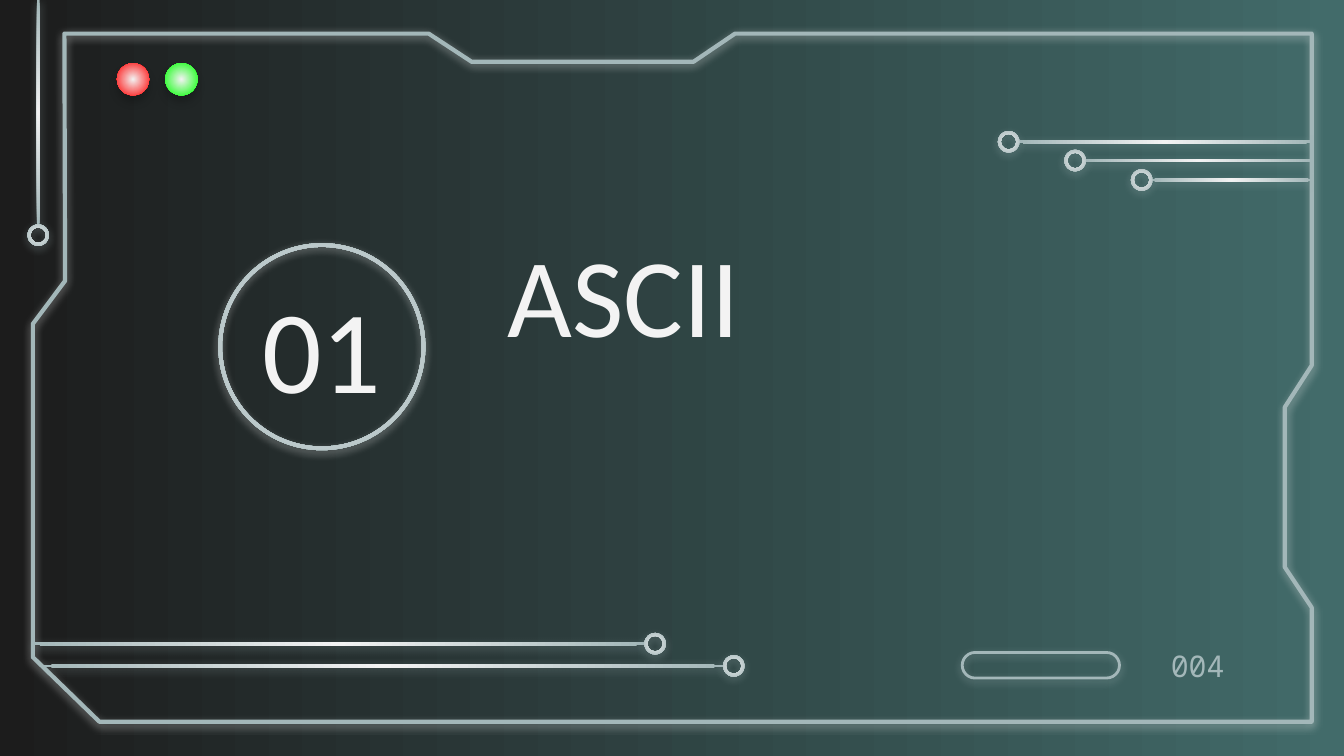
from dataclasses import dataclass

from lxml.etree import SubElement
from pptx import Presentation
from pptx.dml.color import RGBColor
from pptx.dml.fill import FillFormat
from pptx.enum.shapes import MSO_SHAPE
from pptx.enum.text import MSO_ANCHOR, MSO_AUTO_SIZE, PP_ALIGN
from pptx.oxml.ns import qn
from pptx.shapes.autoshape import Shape
from pptx.slide import Slide
from pptx.text.text import TextFrame
from pptx.util import Emu, Pt

PIXEL = 4572  # 200 px to the inch
WHITE, STEEL = "F3F3F3", "A3B7B9"
RING_SIZE, BAR_THICKNESS = 32, 4


@dataclass(frozen=True)
class Box:
    left: int
    top: int
    width: int
    height: int

    def emu(self) -> tuple[Emu, ...]:
        return tuple(px(n) for n in (self.left, self.top, self.width, self.height))


@dataclass(frozen=True)
class Trace:
    """A circuit line from the centre of its ring to an edge."""
    ring_x: int
    ring_y: int
    edge_x: int
    edge_y: int


@dataclass(frozen=True)
class Shadow:
    color: str
    opacity: int = 50
    distance: float = 1.5


FRAME = [
    (1952, 50), (1094, 50), (1032, 92), (702, 92), (638, 50), (96, 50),
    (97, 418), (49, 482), (49, 978), (148, 1074), (1952, 1074), (1952, 904),
    (1912, 844), (1912, 606), (1952, 544),
]
TRACES = [
    Trace(57, 350, 57, 0),
    Trace(1501, 211, 1950, 211),
    Trace(1600, 239, 1950, 239),
    Trace(1699, 268, 1950, 268),
    Trace(1092, 991, 64, 991),
    Trace(975, 958, 48, 958),
]
LIGHTS = [(174, "FF0000"), (246, "00FF00")]


def px(length: int) -> Emu:
    return Emu(length * PIXEL)


def rgb(color: str) -> RGBColor:
    return RGBColor.from_string(color)


def set_gradient(fill: FillFormat, start: str, end: str) -> None:
    fill.gradient()
    fill.gradient_angle = 0
    for stop, color in zip(fill.gradient_stops, (start, end)):
        stop.color.rgb = rgb(color)


def set_radial(shape: Shape, edge: str) -> None:
    set_gradient(shape.fill, WHITE, edge)
    gradient = shape._element.spPr.find(qn("a:gradFill"))
    gradient.remove(gradient.find(qn("a:lin")))
    circle = SubElement(gradient, qn("a:path"), {"path": "circle"})
    SubElement(circle, qn("a:fillToRect"), dict.fromkeys("ltrb", "50000"))


def set_shadow(shape: Shape, shadow: Shadow) -> None:
    shape.shadow.inherit = False
    effects = shape._element.spPr.find(qn("a:effectLst"))
    outer = SubElement(effects, qn("a:outerShdw"), {
        "blurRad": str(Pt(4.5)), "dist": str(Pt(shadow.distance)),
        "dir": "5400000", "algn": "bl", "rotWithShape": "0",
    })
    color = SubElement(outer, qn("a:srgbClr"), {"val": shadow.color})
    SubElement(color, qn("a:alpha"), {"val": str(shadow.opacity * 1000)})


def set_outline(shape: Shape, width: float, shadow: Shadow) -> None:
    shape.fill.background()
    shape.line.color.rgb = rgb(STEEL)
    shape.line.width = Pt(width)
    set_shadow(shape, shadow)


def add_glowing(slide: Slide, kind: MSO_SHAPE, box: Box, edge: str, shadow: Shadow) -> Shape:
    shape = slide.shapes.add_shape(kind, *box.emu())
    set_radial(shape, edge)
    shape.line.fill.background()
    set_shadow(shape, shadow)
    return shape


def add_trace(slide: Slide, trace: Trace) -> None:
    radius, half = RING_SIZE // 2, BAR_THICKNESS // 2
    if trace.ring_x == trace.edge_x:
        bar = Box(trace.ring_x - half, trace.edge_y,
                  BAR_THICKNESS, trace.ring_y - radius - trace.edge_y + half)
    else:
        length = abs(trace.edge_x - trace.ring_x) - radius
        left = min(trace.edge_x, trace.ring_x + radius)
        bar = Box(left, trace.ring_y - half, length, BAR_THICKNESS)
    add_glowing(slide, MSO_SHAPE.RECTANGLE, bar, STEEL, Shadow(STEEL))
    box = Box(trace.ring_x - radius, trace.ring_y - radius, RING_SIZE, RING_SIZE)
    ring = add_glowing(slide, MSO_SHAPE.DONUT, box, STEEL, Shadow(STEEL))
    ring.adjustments[0] = 0.14


def write(frame: TextFrame, text: str, size: int, font: str, color: str,
          alignment: PP_ALIGN, wrap: bool = True) -> None:
    frame.text = text
    frame.word_wrap = wrap
    frame.auto_size = MSO_AUTO_SIZE.NONE
    frame.vertical_anchor = MSO_ANCHOR.MIDDLE
    frame.margin_left = frame.margin_right = px(20)
    frame.margin_top = frame.margin_bottom = px(20)
    paragraph = frame.paragraphs[0]
    paragraph.alignment = alignment
    paragraph.space_before = Pt(0)
    run_font = paragraph.runs[0].font
    run_font.size, run_font.name = Pt(size), font
    run_font.color.rgb = rgb(color)


def place(shape: Shape, box: Box) -> None:
    shape.left, shape.top, shape.width, shape.height = box.emu()


def main() -> None:
    presentation = Presentation()
    presentation.slide_width, presentation.slide_height = px(2000), px(1125)
    slide = presentation.slides.add_slide(presentation.slide_layouts[0])
    set_gradient(slide.background.fill, "1C1C1C", "426B6A")

    # Angular window frame
    builder = slide.shapes.build_freeform(*FRAME[0], scale=PIXEL)
    builder.add_line_segments(FRAME[1:], close=True)
    set_outline(builder.convert_to_shape(), 2.25, Shadow(WHITE))

    # Section title and number
    title, number = slide.placeholders
    place(title, Box(735, 339, 838, 194))
    write(title.text_frame, "ASCII", 60, "Calibri", WHITE, PP_ALIGN.LEFT)
    place(number, Box(325, 401, 308, 230))
    write(number.text_frame, "01", 63, "Calibri", WHITE, PP_ALIGN.CENTER)
    number_ring = add_glowing(slide, MSO_SHAPE.DONUT, Box(325, 362, 308, 308),
                              STEEL, Shadow(WHITE))
    number_ring.adjustments[0] = 0.018

    # Circuit lines
    for trace in TRACES:
        add_trace(slide, trace)

    # Window lights
    for left, color in LIGHTS:
        add_glowing(slide, MSO_SHAPE.OVAL, Box(left, 94, 48, 48), color,
                    Shadow("000000", 20, 3.8))

    # Footer pill and page number
    pill = slide.shapes.add_shape(MSO_SHAPE.ROUNDED_RECTANGLE, *Box(1432, 971, 234, 38).emu())
    pill.adjustments[0] = 0.5
    set_outline(pill, 1.5, Shadow(STEEL))
    page = slide.shapes.add_textbox(*Box(1722, 971, 120, 38).emu())
    write(page.text_frame, "004", 16, "Noto Sans Mono", STEEL, PP_ALIGN.RIGHT, wrap=False)

    presentation.save("out.pptx")


if __name__ == "__main__":
    main()
